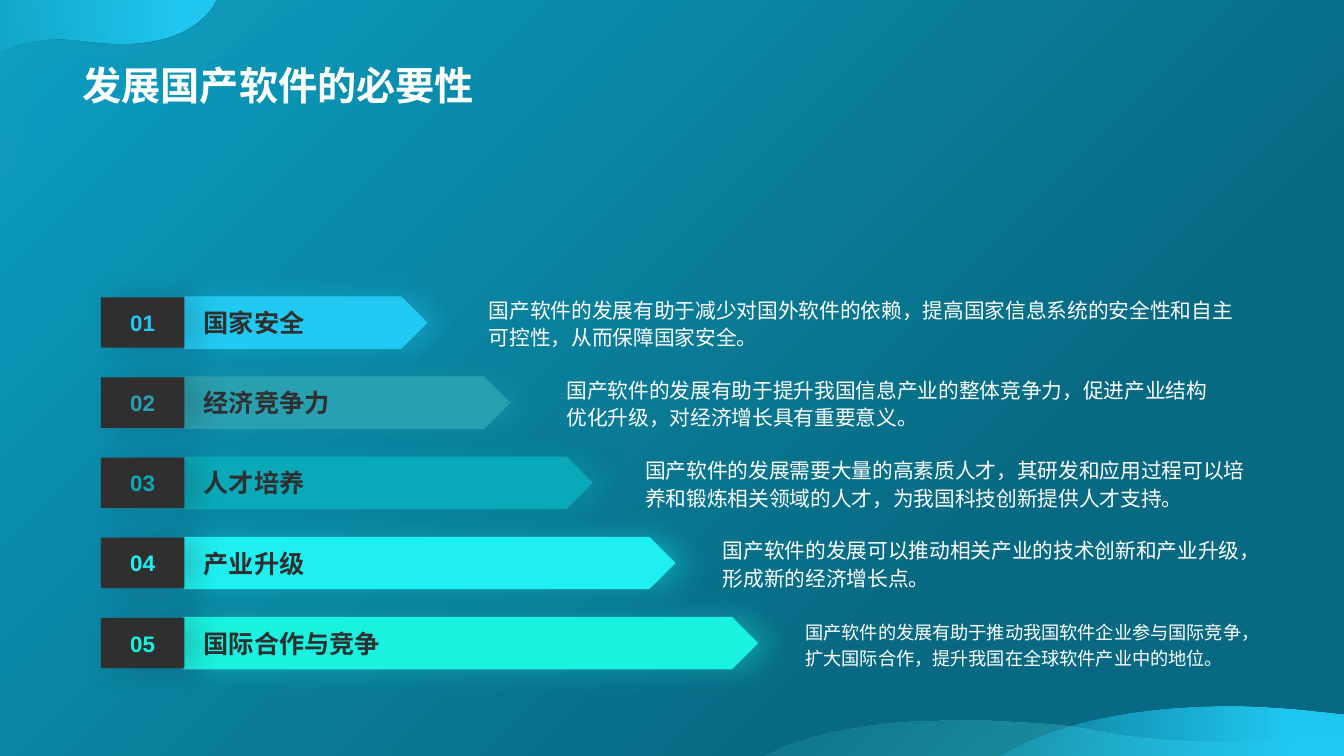
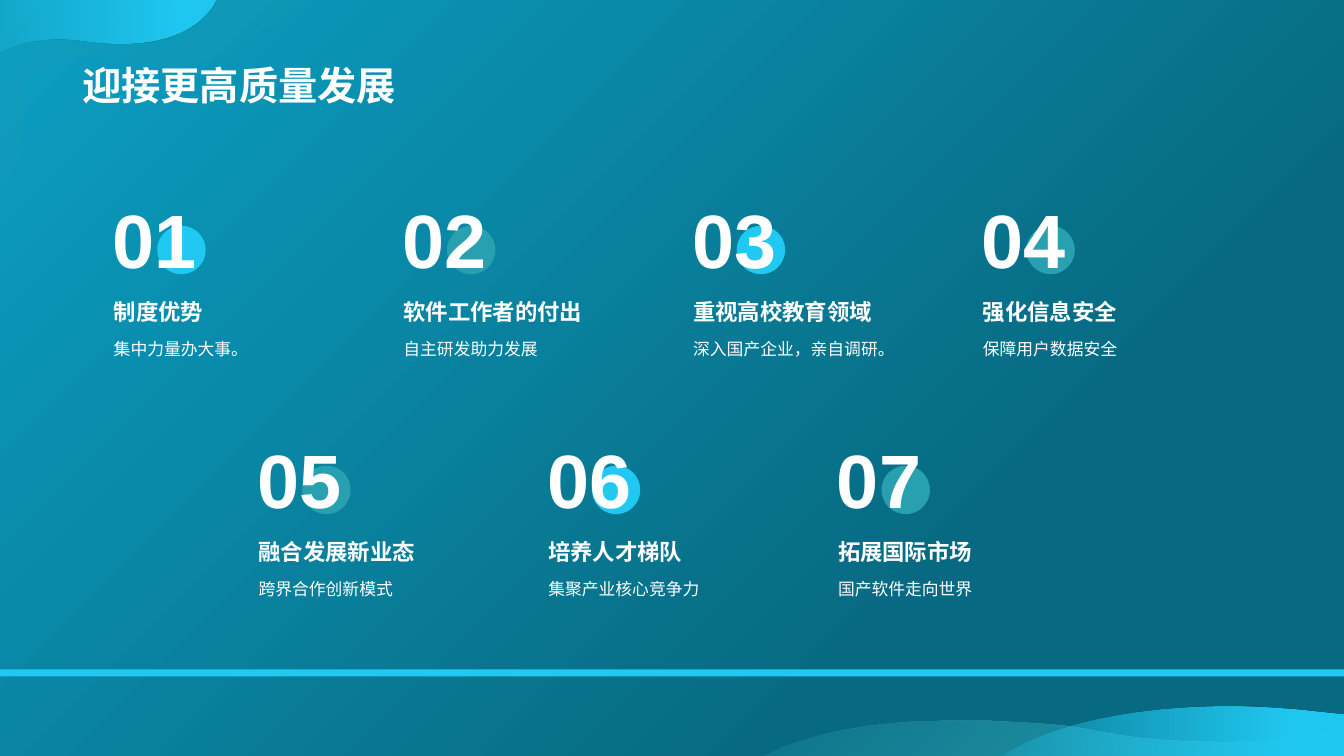
from dataclasses import dataclass
from typing import Optional

import lxml.etree
import pptx
import pptx.dml.color
import pptx.enum.shapes
import pptx.enum.text
import pptx.oxml.ns
import pptx.util

Inches = pptx.util.Inches
Pt = pptx.util.Pt
RGBColor = pptx.dml.color.RGBColor
Shape = pptx.enum.shapes.MSO_SHAPE
Anchor = pptx.enum.text.MSO_ANCHOR
Align = pptx.enum.text.PP_ALIGN
qn = pptx.oxml.ns.qn

# Shared style
FONT = "Arial"
SLIDE_WIDTH, SLIDE_HEIGHT = 13.33, 7.5
BACKGROUND_LIGHT = RGBColor(0x0B, 0x9F, 0xC3)
BACKGROUND_DARK = RGBColor(0x08, 0x6A, 0x82)
WHITE = RGBColor(0xFF, 0xFF, 0xFF)
CHARCOAL = RGBColor(0x2F, 0x2F, 0x2F)
SHADOW_DARK = RGBColor(0x1F, 0x1F, 0x1F)
SKY = RGBColor(0x21, 0xC9, 0xF2)
TEAL = RGBColor(0x29, 0xA0, 0xB0)
LAGOON = RGBColor(0x09, 0xA9, 0xB9)
AQUA = RGBColor(0x1E, 0xF0, 0xF2)
MINT = RGBColor(0x1A, 0xF2, 0xE0)


@dataclass(frozen=True)
class Box:
    left: float
    top: float
    width: float
    height: float

    def lengths(self) -> tuple:
        return tuple(Inches(value) for value in (self.left, self.top, self.width, self.height))


@dataclass(frozen=True)
class TextStyle:
    size: float
    color: RGBColor = WHITE
    bold: bool = False
    anchor: Anchor = Anchor.MIDDLE
    align: Align = Align.LEFT
    line_spacing: Optional[float] = None
    wrap: bool = True


@dataclass(frozen=True)
class Wave:
    """Outline steps are points (x, y) or cubic curves (x1, y1, x2, y2, x, y)."""
    start: tuple
    steps: tuple
    color: RGBColor
    alpha: int
    solid_at: Optional[float] = None  # where a gradient becomes opaque
    angle: int = 0


@dataclass(frozen=True)
class Reason:
    heading: str
    body: str
    color: RGBColor
    body_left: float
    body_width: float
    body_size: float = 14.8
    line_spacing: float = 1.1


@dataclass(frozen=True)
class Measure:
    heading: str
    body: str


TITLE_BOX = Box(0.72, 0.14, 11.88, 0.98)
TITLE_STYLE = TextStyle(28, bold=True, anchor=Anchor.BOTTOM)

WAVES = (
    Wave((9.56, 7.15),
         ((9.89, 7.15, 10.38, 7.17, 10.7, 7.22), (11.03, 7.27, 11.79, 7.46, 13.19, 7.28),
          (13.33, 7.26), (13.33, 7.5), (7.57, 7.5), (7.65, 7.45, 8.23, 7.14, 9.56, 7.15)),
         TEAL, 20, 1.0, 310),
    Wave((12.19, 7.01),
         ((12.47, 7.01, 12.79, 7.03, 13.13, 7.07), (13.33, 7.09), (13.33, 7.5), (9.93, 7.5),
          (10.03, 7.43, 10.68, 7.01, 12.19, 7.01)),
         SKY, 20, 0.85),
    Wave((-0.02, 1.86),
         ((-0.02, 1.86, 0.26, 1.77, 0.24, 0.94), (0.24, 0.85, 0.36, 0.44, 1.14, 0.59),
          (1.57, 0.69, 1.99, 0.8, 2.55, 0.33), (2.63, 0.26, 3.08, 0, 3.08, 0), (0, 0)),
         TEAL, 15),
    Wave((0, 0),
         ((2.15, 0), (2.12, 0.06), (1.9, 0.38, 1.44, 0.49, 0.85, 0.41),
          (0.42, 0.35, 0.15, 0.44, 0.02, 0.51), (0, 0.52)),
         SKY, 20, 0.85),
)

REASONS = (
    Reason("国家安全", "国产软件的发展有助于减少对国外软件的依赖，提高国家信息系统的安全性和自主可控性，从而保障国家安全。",
           SKY, 4.75, 7.58),
    Reason("经济竞争力", "国产软件的发展有助于提升我国信息产业的整体竞争力，促进产业结构优化升级，对经济增长具有重要意义。",
           TEAL, 5.52, 6.71),
    Reason("人才培养", "国产软件的发展需要大量的高素质人才，其研发和应用过程可以培养和锻炼相关领域的人才，为我国科技创新提供人才支持。",
           LAGOON, 6.3, 6.3),
    Reason("产业升级", "国产软件的发展可以推动相关产业的技术创新和产业升级，形成新的经济增长点。",
           AQUA, 7.07, 5.4),
    Reason("国际合作与竞争", "国产软件的发展有助于推动我国软件企业参与国际竞争，扩大国际合作，提升我国在全球软件产业中的地位。",
           MINT, 7.89, 4.7, 13, 1.2),
)

MEASURE_ROWS = (
    (Measure("制度优势", "集中力量办大事。"),
     Measure("软件工作者的付出", "自主研发助力发展"),
     Measure("重视高校教育领域", "深入国产企业，亲自调研。"),
     Measure("强化信息安全", "保障用户数据安全")),
    (Measure("融合发展新业态", "跨界合作创新模式"),
     Measure("培养人才梯队", "集聚产业核心竞争力"),
     Measure("拓展国际市场", "国产软件走向世界")),
)


# Drawing helpers
def set_alpha(color_element, percent: int) -> None:
    alpha = lxml.etree.SubElement(color_element, qn("a:alpha"))
    alpha.set("val", str(percent * 1000))


def set_gradient(fill, first: RGBColor, last: RGBColor, last_position: float, angle: int) -> None:
    fill.gradient()
    fill.gradient_angle = angle
    for stop, color, position in zip(fill.gradient_stops, (first, last), (0, last_position)):
        stop.color.rgb = color
        stop.position = position


def write_text(shape, text: str, style: TextStyle, side_inset: Optional[float] = None) -> None:
    frame = shape.text_frame
    frame.word_wrap = style.wrap
    frame.vertical_anchor = style.anchor
    if side_inset is not None:
        frame.margin_left = frame.margin_right = Inches(side_inset)
        frame.margin_top = frame.margin_bottom = 0
    paragraph = frame.paragraphs[0]
    paragraph.text = text
    paragraph.alignment = style.align
    if style.line_spacing:
        paragraph.line_spacing = style.line_spacing
    font = paragraph.font
    font.name, font.size, font.bold = FONT, Pt(style.size), style.bold
    font.color.rgb = style.color


def add_text(slide, box: Box, text: str, style: TextStyle, side_inset: Optional[float] = None) -> None:
    write_text(slide.shapes.add_textbox(*box.lengths()), text, style, side_inset)


def add_filled(slide, kind: Shape, box: Box, color: RGBColor):
    shape = slide.shapes.add_shape(kind, *box.lengths())
    shape.shadow.inherit = False
    shape.fill.solid()
    shape.fill.fore_color.rgb = color
    shape.line.fill.background()
    return shape


def add_shadow(shape, color: RGBColor, alpha: int) -> None:
    effects = shape.element.spPr.find(qn("a:effectLst"))
    shadow = lxml.etree.SubElement(effects, qn("a:outerShdw"))
    for name, value in (("blurRad", Pt(20)), ("dist", Pt(10)), ("dir", 0), ("rotWithShape", 0)):
        shadow.set(name, str(int(value)))
    color_element = lxml.etree.SubElement(shadow, qn("a:srgbClr"))
    color_element.set("val", str(color))
    set_alpha(color_element, alpha)


def bend_segments(shape, steps: tuple) -> None:
    """Turn the straight segments that stand for curves into cubic curves."""
    segments = list(shape.element.spPr.iter(qn("a:lnTo")))
    for segment, step in zip(segments, steps):
        if len(step) == 2:
            continue
        segment.tag = qn("a:cubicBezTo")
        for index, (x, y) in enumerate((step[:2], step[2:4])):
            point = segment.makeelement(qn("a:pt"))
            point.set("x", str(Inches(x) - shape.left))
            point.set("y", str(Inches(y) - shape.top))
            segment.insert(index, point)


def add_wave(slide, wave: Wave):
    outline = [(Inches(x), Inches(y)) for x, y in (wave.start, *(step[-2:] for step in wave.steps))]
    builder = slide.shapes.build_freeform(*outline[0])
    builder.add_line_segments(outline[1:], close=True)
    shape = builder.convert_to_shape()
    bend_segments(shape, wave.steps)
    shape.shadow.inherit = False
    shape.line.fill.background()
    if wave.solid_at is None:
        shape.fill.solid()
        shape.fill.fore_color.rgb = wave.color
    else:
        set_gradient(shape.fill, wave.color, wave.color, wave.solid_at, wave.angle)
    set_alpha(next(shape.element.spPr.iter(qn("a:srgbClr"))), wave.alpha)
    return shape


def add_base_slide(presentation, title: str):
    slide = presentation.slides.add_slide(presentation.slide_layouts[6])
    set_gradient(slide.background.fill, BACKGROUND_LIGHT, BACKGROUND_DARK, 0.72, 315)
    add_text(slide, TITLE_BOX, title, TITLE_STYLE)
    return slide


def move_waves_to_layout(slide) -> None:
    """Draw the waves once and keep them on the layout that all slides share."""
    layout_tree = slide.slide_layout.shapes.element
    for wave in WAVES:
        layout_tree.append(add_wave(slide, wave).element)


# Slide 1: arrows that grow row by row
def add_reason(slide, index: int, reason: Reason) -> None:
    top = 2.94 + index * (6.12 - 2.94) / (len(REASONS) - 1)
    arrow = add_filled(slide, Shape.PENTAGON, Box(1.82, top, 2.42 + 0.82 * index, 0.52), reason.color)
    add_shadow(arrow, reason.color, 32)
    write_text(arrow, reason.heading, TextStyle(18, CHARCOAL, bold=True), 0.2)
    number = add_filled(slide, Shape.RECTANGLE, Box(1, top + 0.01, 0.83, 0.5), CHARCOAL)
    add_shadow(number, SHADOW_DARK, 20)
    write_text(number, f"{index + 1:02}",
               TextStyle(16, reason.color, bold=True, align=Align.CENTER), 0)
    add_text(slide, Box(reason.body_left, top - 0.06, reason.body_width, 0.64), reason.body,
             TextStyle(reason.body_size, line_spacing=reason.line_spacing))


def build_reasons(presentation) -> None:
    slide = add_base_slide(presentation, "发展国产软件的必要性")
    move_waves_to_layout(slide)
    for index, reason in enumerate(REASONS):
        add_reason(slide, index, reason)


# Slide 2: numbered measures in two staggered rows
def add_measure(slide, number: int, left: float, top: float, color: RGBColor, measure: Measure) -> None:
    add_filled(slide, Shape.OVAL, Box(left + 0.53, top + 0.3, 0.48, 0.48), color)
    add_text(slide, Box(left, top, 1.01, 0.85), f"{number:02}",
             TextStyle(54, bold=True, align=Align.CENTER, wrap=False), 0)
    add_text(slide, Box(left, top + 1.33, 2.64, 0.67), measure.body,
             TextStyle(12, anchor=Anchor.TOP, line_spacing=1.2))
    add_text(slide, Box(left, top + 0.85, 2.64, 0.48), measure.heading,
             TextStyle(16, bold=True, anchor=Anchor.BOTTOM))


def build_measures(presentation) -> None:
    slide = add_base_slide(presentation, "迎接更高质量发展")
    add_filled(slide, Shape.RECTANGLE, Box(0, 6.64, SLIDE_WIDTH, 0.07), SKY)
    column_pitch = (9.65 - 1.03) / 3
    number = 0
    for row, measures in enumerate(MEASURE_ROWS):
        for column, measure in enumerate(measures):
            number += 1
            left = 1.03 + (column + row / 2) * column_pitch
            color = TEAL if (row + column) % 2 else SKY
            add_measure(slide, number, left, 1.94 + 2.38 * row, color, measure)


def main() -> None:
    presentation = pptx.Presentation()
    presentation.slide_width = Inches(SLIDE_WIDTH)
    presentation.slide_height = Inches(SLIDE_HEIGHT)
    build_reasons(presentation)
    build_measures(presentation)
    presentation.save("out.pptx")


if __name__ == "__main__":
    main()
